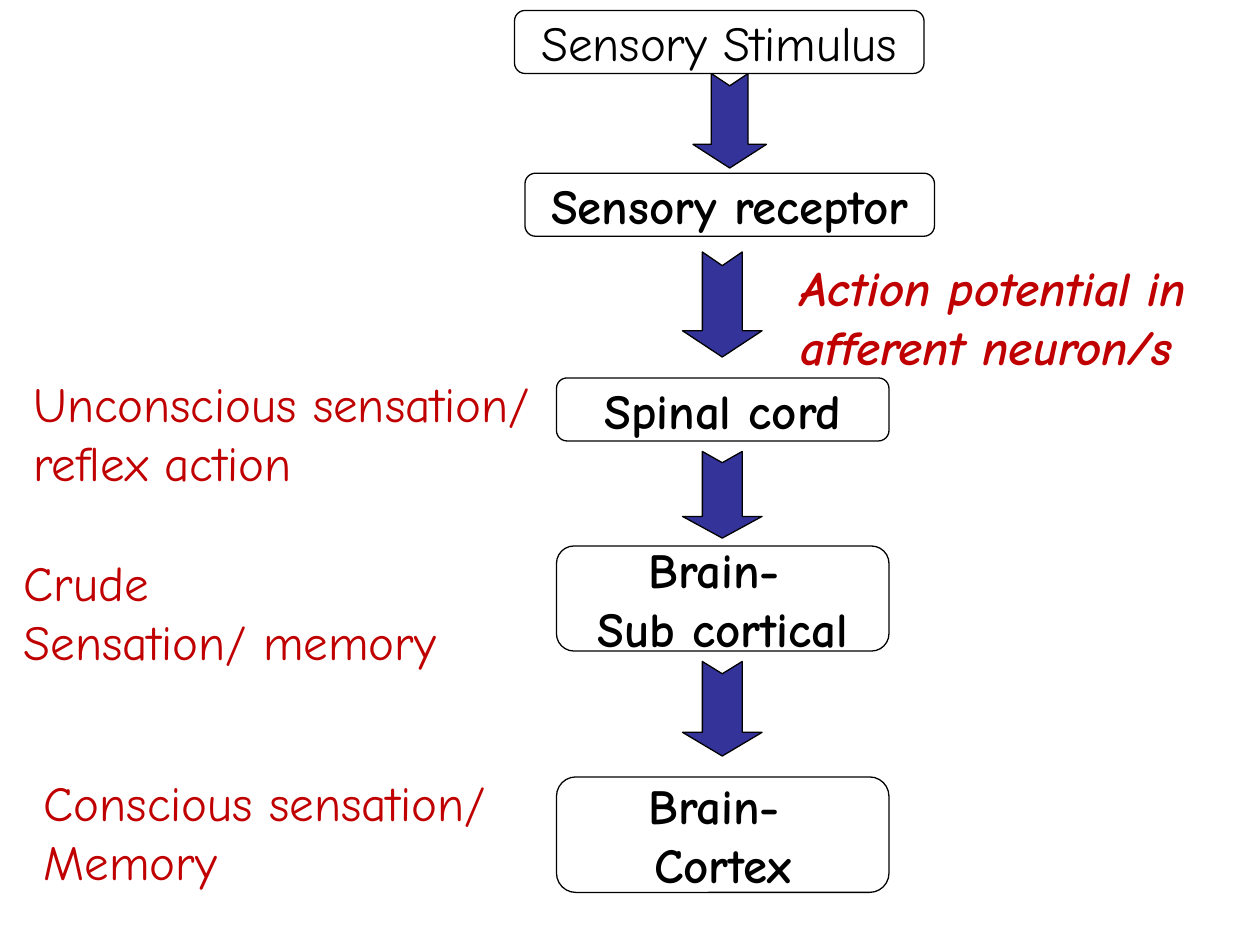
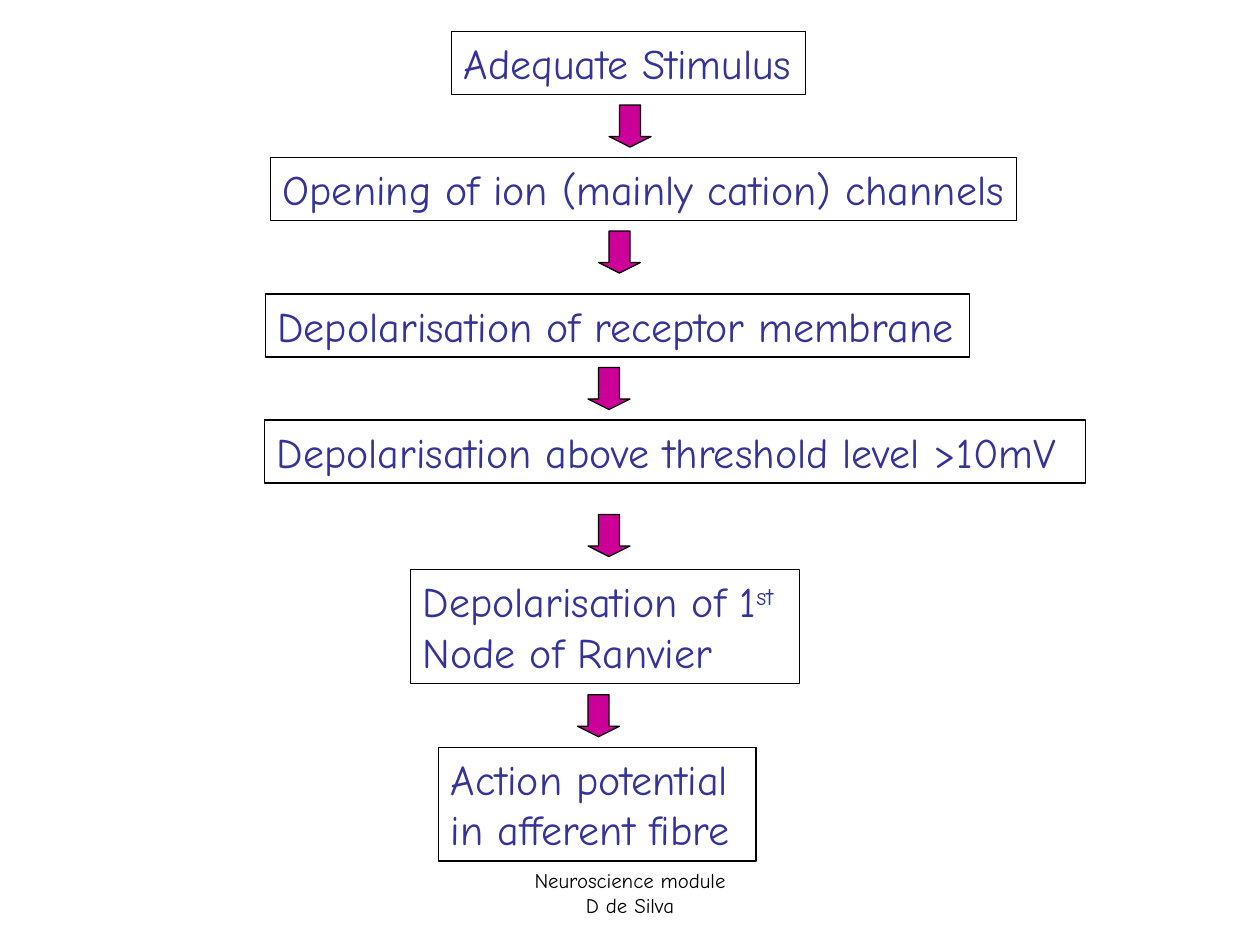
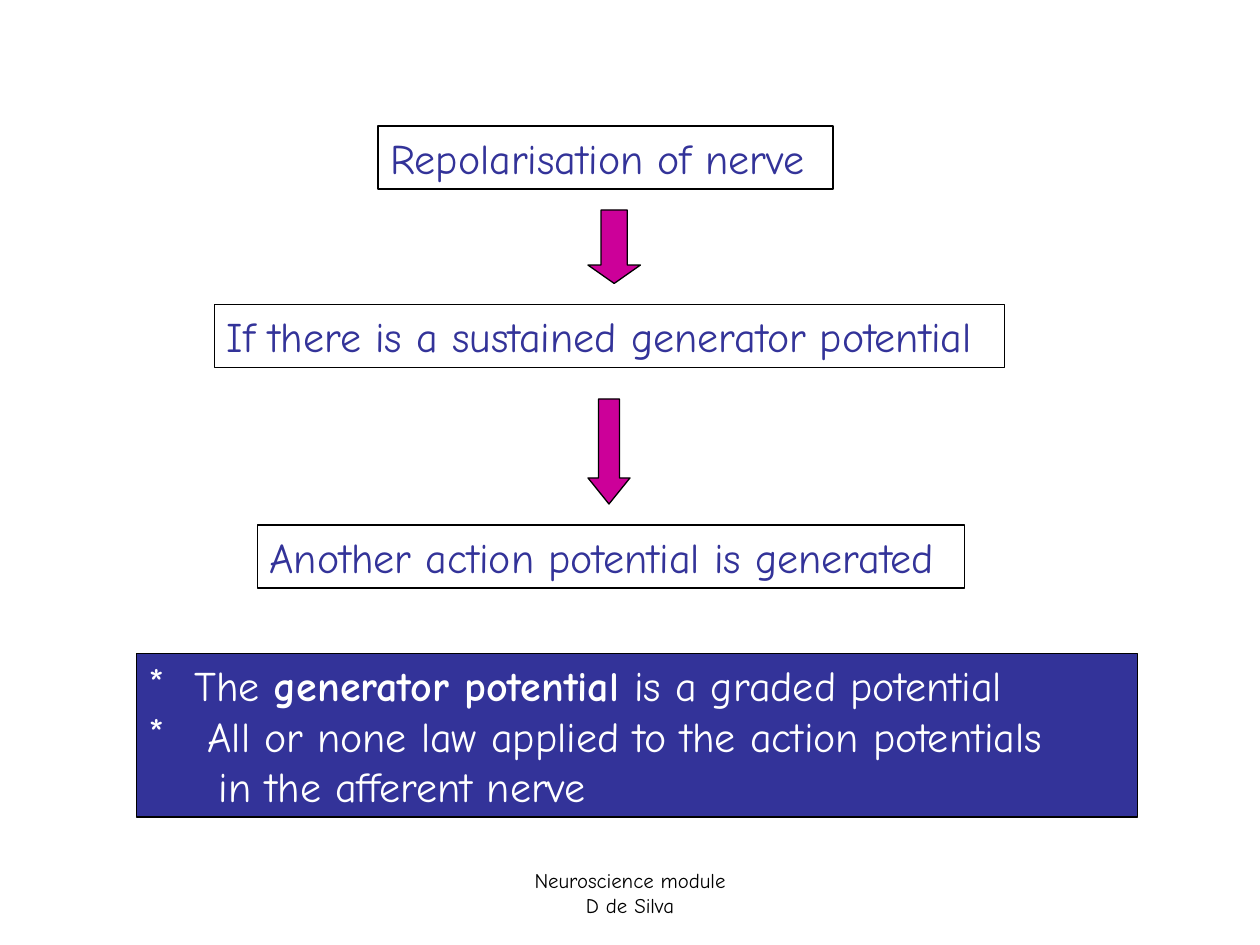
from lxml.etree import SubElement
from pptx import Presentation
from pptx.dml.color import RGBColor
from pptx.enum.shapes import MSO_SHAPE as Preset
from pptx.enum.text import MSO_ANCHOR as Anchor, PP_ALIGN as Align
from pptx.oxml.ns import qn
from pptx.util import Pt

FONT = "Comic Neue"
BLACK = RGBColor(0x00, 0x00, 0x00)
WHITE = RGBColor(0xFF, 0xFF, 0xFF)
RED = RGBColor(0xC0, 0x00, 0x00)
NAVY = RGBColor(0x33, 0x33, 0x99)
MAGENTA = RGBColor(0xCC, 0x00, 0x99)


def points(*lengths):
    """Turn numbers into lengths in points."""
    return [Pt(length) for length in lengths]


def style_font(para, size, color, bold=None, italic=None):
    """Set the font of a whole paragraph."""
    font = para.font
    font.name, font.size = FONT, Pt(size)
    font.bold, font.italic = bold, italic
    font.color.rgb = color


def write_lines(frame, lines, size, color, align=Align.LEFT, bold=None, italic=None):
    """Fill a text frame with one paragraph for each line."""
    for number, line in enumerate(lines):
        para = frame.add_paragraph() if number else frame.paragraphs[0]
        para.alignment = align
        para.add_run().text = line
        style_font(para, size, color, bold, italic)


def outline(shape, fill=None):
    """Give a shape a thin black line and an optional solid fill."""
    shape.line.color.rgb = BLACK
    shape.line.width = Pt(0.75)
    if fill is not None:
        shape.fill.solid()
        shape.fill.fore_color.rgb = fill


def add_text(page, box, lines, size, color, **style):
    """Add a wrapped text box and return it."""
    shape = page.shapes.add_textbox(*points(*box))
    shape.text_frame.word_wrap = True
    write_lines(shape.text_frame, lines, size, color, **style)
    return shape


def add_stage(page, box, lines, bold=True):
    """Add a rounded box that names one stage of the pathway."""
    shape = page.shapes.add_shape(Preset.ROUNDED_RECTANGLE, *points(*box))
    shape.shadow.inherit = False
    outline(shape, WHITE)
    frame = shape.text_frame
    frame.word_wrap = False
    frame.vertical_anchor = Anchor.MIDDLE
    write_lines(frame, lines, 28, BLACK, Align.CENTER, bold)


def add_notched_arrow(page, box):
    """Add a downward arrow with a notched tail."""
    left, top, width, height = box
    corners = [(0.75, 0), (0.75, 0.75), (1, 0.75), (0.5, 1), (0, 0.75),
               (0.25, 0.75), (0.25, 0), (0.5, 0.13)]
    start, *rest = [points(left + x * width, top + y * height) for x, y in corners]
    builder = page.shapes.build_freeform(*start)
    builder.add_line_segments(rest, close=True)
    arrow = builder.convert_to_shape()
    arrow.shadow.inherit = False
    outline(arrow, NAVY)


def add_down_arrow(page, box, head=0.25):
    """Add a plain downward arrow with the given head length."""
    arrow = page.shapes.add_shape(Preset.DOWN_ARROW, *points(*box))
    arrow.adjustments[1] = head
    arrow.shadow.inherit = False
    outline(arrow, MAGENTA)


def add_step(page, box, lines):
    """Add a framed step and return its text frame."""
    shape = add_text(page, box, lines, 24, NAVY)
    shape.text_frame.margin_right = 0
    outline(shape)
    return shape.text_frame


def add_footer(page):
    """Add the module name and the lecturer."""
    add_text(page, (246, 492, 228, 37.5), ["Neuroscience module", "D de Silva"],
             11.9, BLACK, align=Align.CENTER)


def indent(para, margin, bullet=None):
    """Indent a paragraph, hanging the bullet in the margin."""
    props = para._p.get_or_add_pPr()
    props.set("marL", str(Pt(margin)))
    props.set("indent", str(-Pt(margin) if bullet else 0))
    if bullet:
        SubElement(props, qn("a:buFont"), typeface=FONT)
        SubElement(props, qn("a:buChar"), char=bullet)
    else:
        SubElement(props, qn("a:buNone"))


def add_summary(page, box):
    """Add the filled panel with the closing remarks."""
    shape = page.shapes.add_textbox(*points(*box))
    outline(shape, NAVY)
    frame = shape.text_frame
    frame.word_wrap = True
    remarks = [
        (26, "*", ["The ", "generator potential ", "is a graded potential"]),
        (33.5, "*", ["All or none law applied to the action potentials"]),
        (40, None, ["in the afferent nerve"]),
    ]
    for number, (margin, bullet, parts) in enumerate(remarks):
        para = frame.add_paragraph() if number else frame.paragraphs[0]
        indent(para, margin, bullet)
        style_font(para, 24, WHITE)
        for part in parts:
            span = para.add_run()
            span.text = part
            if part.startswith("generator"):
                span.font.bold = True


def build_pathway(page):
    """Build the pathway from stimulus to cortex."""
    for box in [(396, 42, 42, 54), (390, 144, 45.5, 60),
                (390, 258, 45.5, 49.5), (390, 378, 45.5, 54)]:
        add_notched_arrow(page, box)
    add_stage(page, (294, 6, 234, 36), ["Sensory Stimulus"], bold=None)
    add_stage(page, (300, 99, 234, 36), ["Sensory receptor"])
    for top, height, lines in [(216, 36, ["Spinal cord"]),
                               (312, 60, ["Brain- ", "Sub cortical"]),
                               (444, 66, ["Brain- ", "Cortex"])]:
        add_stage(page, (318, top, 190, height), lines)
    for left, top, width, lines in [
        (12, 210, 318, ["Unconscious sensation/", "reflex action"]),
        (6.5, 312, 305, ["Crude", "Sensation/ memory"]),
        (18, 438, 306, ["Conscious sensation/", "Memory"]),
    ]:
        add_text(page, (left, top, width, 75), lines, 28, RED)
    add_text(page, (450.5, 143.5, 269.5, 75), ["Action potential in afferent neuron/s"],
             28, RED, bold=True, italic=True)


def build_depolarisation(page):
    """Build the steps from stimulus to action potential."""
    add_footer(page)
    for left, top, width, line in [
        (258, 18, 202.5, "Adequate Stimulus"),
        (154.5, 90, 426.5, "Opening of ion (mainly cation) channels"),
        (151.5, 168, 402.5, "Depolarisation of receptor membrane"),
        (151, 240, 469.5, "Depolarisation above threshold level >10mV"),
    ]:
        add_step(page, (left, top, width, 36), [line])
    node = add_step(page, (234.5, 325.5, 222.5, 65),
                    ["Depolarisation of 1", "Node of Ranvier"])
    ordinal = node.paragraphs[0].add_run()
    ordinal.text = "st"
    ordinal._r.get_or_add_rPr().set("baseline", "30000")
    add_step(page, (250.5, 427, 181.5, 65), ["Action potential", "in afferent fibre"])
    for left, top in [(348, 60), (342, 132), (336, 210), (336, 294), (330, 397)]:
        add_down_arrow(page, (left, top, 24, 24))


def build_repolarisation(page):
    """Build the steps that follow repolarisation."""
    add_footer(page)
    for left, top, width, line in [
        (216, 72, 260, "Repolarisation of nerve"),
        (122.5, 174, 451.5, "If there is a sustained generator potential"),
        (147, 300, 404, "Another action potential is generated"),
    ]:
        add_step(page, (left, top, width, 36), [line])
    add_down_arrow(page, (336, 120, 30, 42), head=0.35)
    add_down_arrow(page, (336, 228, 24, 60), head=0.62)
    add_summary(page, (78, 373.5, 572, 93.5))


def main():
    """Build the deck and save it."""
    deck = Presentation()
    deck.slide_width, deck.slide_height = points(720, 540)
    for build in (build_pathway, build_depolarisation, build_repolarisation):
        build(deck.slides.add_slide(deck.slide_layouts[6]))
    deck.save("out.pptx")


if __name__ == "__main__":
    main()
